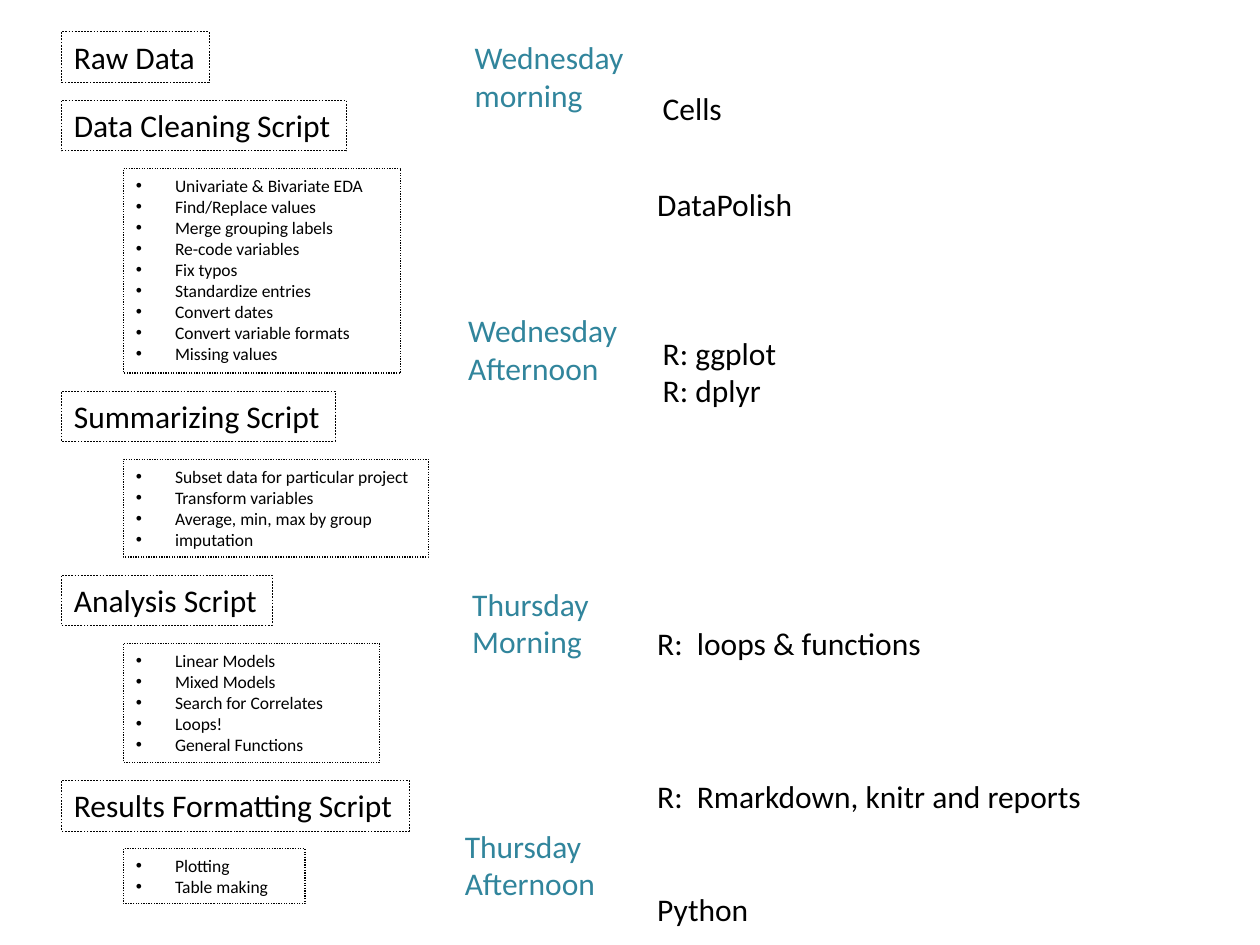
import pptx
import pptx.dml.color
import pptx.enum.dml
import pptx.enum.shapes
import pptx.enum.text
import pptx.oxml
import pptx.oxml.ns
import pptx.util
from pptx.util import Cm

BLACK = pptx.dml.color.RGBColor(0x00, 0x00, 0x00)
TEAL = pptx.dml.color.RGBColor(0x31, 0x85, 0x9C)
FONT = "Calibri"
DASH = pptx.enum.dml.MSO_LINE.DASH
DOT = pptx.enum.dml.MSO_LINE.ROUND_DOT

# Workflow column, in centimetres
TOP, GAP = 0.64, 0.36
HEADING_LEFT, HEADING_HEIGHT = 1.24, 1.02
LIST_LEFT, LIST_LINE, LIST_PADDING = 2.49, 0.43, 0.25
BULLET_INDENT = 0.79

# Heading, heading width, list width, list items
STEPS = [
    ("Raw Data", 2.97, 0, []),
    ("Data Cleaning Script", 5.74, 5.59, [
        "Univariate & Bivariate EDA", "Find/Replace values",
        "Merge grouping labels", "Re-code variables", "Fix typos",
        "Standardize entries", "Convert dates", "Convert variable formats",
        "Missing values"]),
    ("Summarizing Script", 5.51, 6.15, [
        "Subset data for particular project", "Transform variables",
        "Average, min, max by group", "imputation"]),
    ("Analysis Script", 4.24, 5.16, [
        "Linear Models", "Mixed Models", "Search for Correlates", "Loops!",
        "General Functions"]),
    ("Results Formatting Script", 7.01, 3.66, ["Plotting", "Table making"]),
]

# Left, top, width, height, lines
SESSIONS = [
    (9.32, 0.64, 3.56, 1.8, ["Wednesday", "morning"]),
    (9.19, 6.15, 3.61, 1.8, ["Wednesday", "Afternoon"]),
    (9.27, 11.66, 3.61, 1.8, ["Thursday", "Morning"]),
    (9.12, 16.54, 3.35, 1.8, ["Thursday", "Afternoon"]),
]

# Left, top, width, height, lines, points between lines
TOOLS = [
    (13.11, 1.68, 1.83, 1.02, ["Cells"], 0),
    (13.0, 3.61, 3.58, 1.02, ["DataPolish"], 0),
    (13.11, 6.6, 2.82, 1.8, ["R: ggplot", "R: dplyr"], 0),
    (13.0, 12.45, 9.14, 4.09,
     ["R:  loops & functions", "R:  Rmarkdown, knitr and reports"], 66),
    (13.0, 17.81, 2.36, 1.02, ["Python"], 0),
]


def add_bullet(paragraph):
    properties = paragraph._p.get_or_add_pPr()
    properties.set("marL", str(Cm(BULLET_INDENT)))
    properties.set("indent", str(-Cm(BULLET_INDENT)))
    namespace = pptx.oxml.ns.nsdecls("a")
    for xml in (f'<a:buFont {namespace} typeface="Arial"/>',
                f'<a:buChar {namespace} char="•"/>'):
        properties.append(pptx.oxml.parse_xml(xml))


def write_lines(shape, lines, size=18, color=BLACK, wrap=False,
                bulleted=False, spacing=0):
    frame = shape.text_frame
    frame.word_wrap = wrap
    frame.auto_size = pptx.enum.text.MSO_AUTO_SIZE.SHAPE_TO_FIT_TEXT
    frame.vertical_anchor = pptx.enum.text.MSO_ANCHOR.TOP
    for index, line in enumerate(lines):
        paragraph = frame.add_paragraph() if index else frame.paragraphs[0]
        paragraph.alignment = pptx.enum.text.PP_ALIGN.LEFT
        if index and spacing:
            paragraph.space_before = pptx.util.Pt(spacing)
        if bulleted:
            add_bullet(paragraph)
        run = paragraph.add_run()
        run.text = line
        run.font.name = FONT
        run.font.size = pptx.util.Pt(size)
        run.font.color.rgb = color


def add_frame(slide, left, top, width, height, line_width, dash_style):
    shape = slide.shapes.add_shape(
        pptx.enum.shapes.MSO_SHAPE.RECTANGLE,
        Cm(left), Cm(top), Cm(width), Cm(height))
    shape.shadow.inherit = False
    shape.fill.background()
    shape.line.color.rgb = BLACK
    shape.line.width = pptx.util.Pt(line_width)
    shape.line.dash_style = dash_style
    return shape


def add_label(slide, left, top, width, height, lines, **style):
    box = slide.shapes.add_textbox(Cm(left), Cm(top), Cm(width), Cm(height))
    write_lines(box, lines, **style)


def add_workflow(slide):
    top = TOP
    for heading, heading_width, list_width, items in STEPS:
        frame = add_frame(slide, HEADING_LEFT, top, heading_width,
                          HEADING_HEIGHT, 0.25, DASH)
        write_lines(frame, [heading])
        top += HEADING_HEIGHT + GAP
        if items:
            height = len(items) * LIST_LINE + LIST_PADDING
            frame = add_frame(slide, LIST_LEFT, top, list_width, height,
                              0.75, DOT)
            write_lines(frame, items, size=10, wrap=True, bulleted=True)
            top += height + GAP


def main():
    presentation = pptx.Presentation()
    presentation.slide_width = Cm(25.4)
    presentation.slide_height = Cm(19.05)
    slide = presentation.slides.add_slide(presentation.slide_layouts[6])

    # Steps of the data workflow
    add_workflow(slide)

    # Workshop sessions
    for *place, lines in SESSIONS:
        add_label(slide, *place, lines, color=TEAL, wrap=True)

    # Tools taught in the sessions
    for *place, lines, spacing in TOOLS:
        add_label(slide, *place, lines, spacing=spacing)

    presentation.save("out.pptx")


if __name__ == "__main__":
    main()
